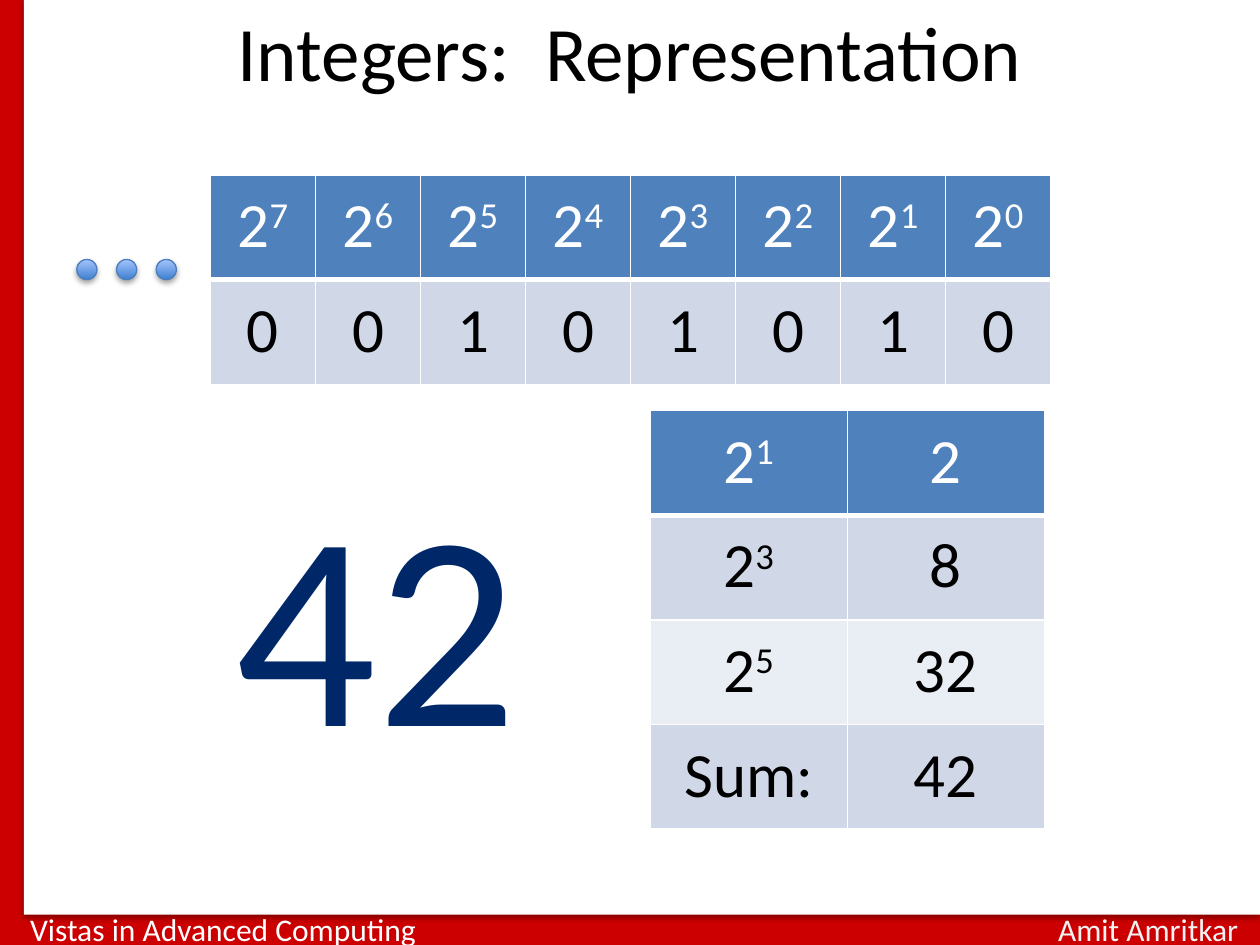
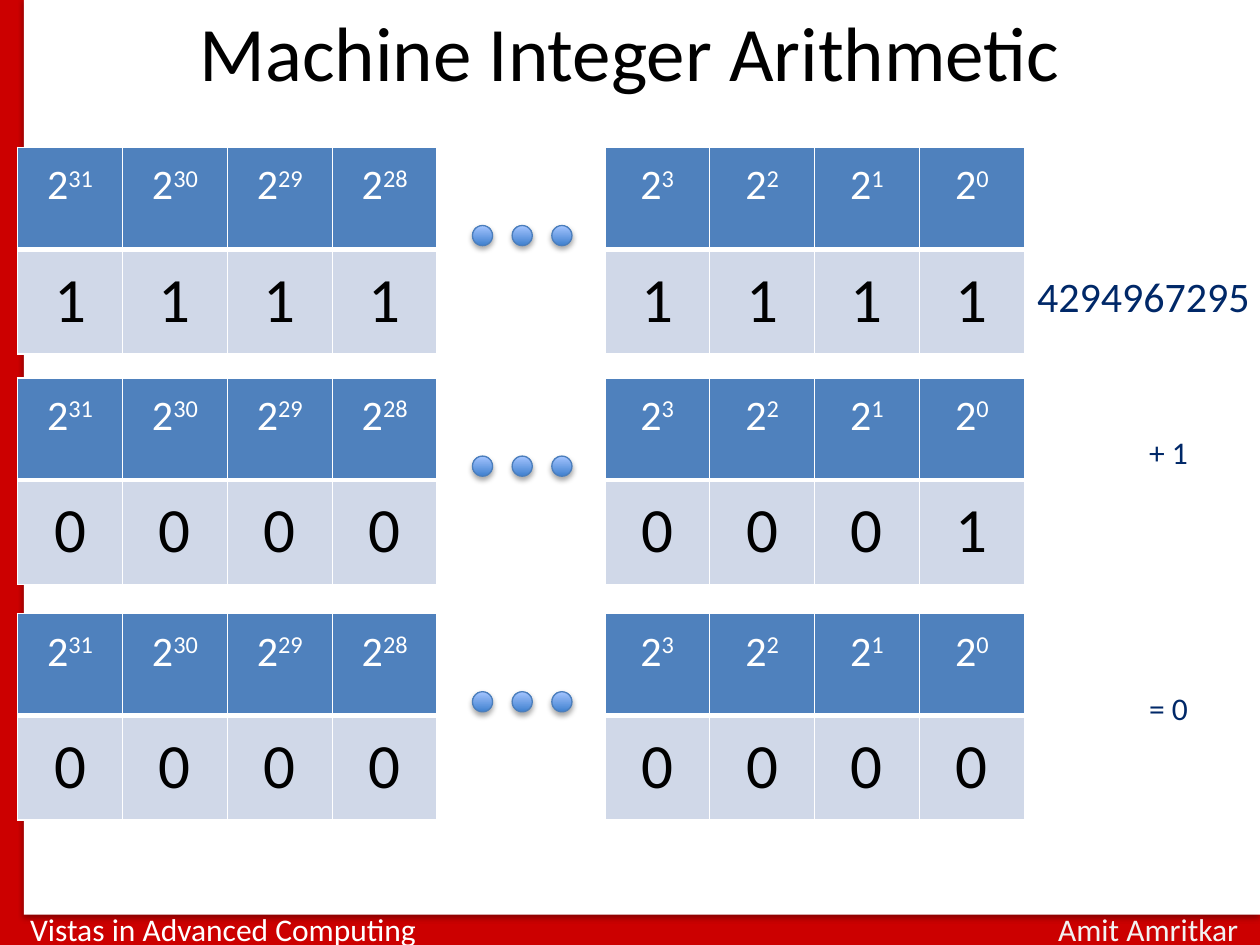
from lxml import etree
from pptx import Presentation
from pptx.dml.color import RGBColor
from pptx.enum.shapes import MSO_SHAPE
from pptx.enum.text import MSO_ANCHOR, PP_ALIGN
from pptx.oxml.ns import qn
from pptx.util import Inches, Pt

RECTANGLE, ELLIPSE = MSO_SHAPE.RECTANGLE, MSO_SHAPE.OVAL
LEFT, CENTER = PP_ALIGN.LEFT, PP_ALIGN.CENTER
TOP = MSO_ANCHOR.TOP

FONT = "Calibri"
RED, WHITE, BLACK, NAVY = "CC0000", "FFFFFF", "000000", "002868"
PALE_GREY = "F2F2F2"
HEADER_BLUE, BAND_DARK, BAND_LIGHT = "4F81BD", "D0D8E8", "E9EDF4"
DOT_BOTTOM, DOT_TOP, DOT_LINE = "3F80CE", "A4C4FF", "4B7EBC"

CELL = 0.83
DOT_SIZE, DOT_PITCH = 0.16, 0.63 / 2
WIDE_INSETS = (0.2, 0.1)


def color(hex_text):
    return RGBColor.from_string(hex_text)


# Text
def write(frame, text, size=18, ink=BLACK, align=LEFT, line_spacing=None):
    """Fill a text frame; what follows a ^ is set as a superscript."""
    para = frame.paragraphs[0]
    para.alignment = align
    if line_spacing:
        para.line_spacing = Pt(line_spacing)
    base, _, exponent = text.partition("^")
    for part, raised in ((base, False), (exponent, True)):
        if not part:
            continue
        span = para.add_run()
        span.text = part
        span.font.name, span.font.size = FONT, Pt(size)
        span.font.bold = False
        span.font.color.rgb = color(ink)
        if raised:
            span.font._element.set("baseline", "30000")


def add_label(page, text, left, top, width, height,
              insets=WIDE_INSETS, wrap=True, **text_format):
    box = page.shapes.add_textbox(
        Inches(left), Inches(top), Inches(width), Inches(height))
    frame = box.text_frame
    frame.word_wrap = wrap
    frame.margin_left = frame.margin_right = Inches(insets[0])
    frame.margin_top = frame.margin_bottom = Inches(insets[1])
    write(frame, text, **text_format)
    return box


# Shapes
def add_soft_shadow(shape):
    shape.shadow.inherit = False
    effects = shape._element.spPr.find(qn("a:effectLst"))
    shadow = etree.SubElement(
        effects, qn("a:outerShdw"), blurRad=str(Pt(3.1)), dist=str(Pt(1.8)),
        dir="5400000", rotWithShape="0")
    ink = etree.SubElement(shadow, qn("a:srgbClr"), val=BLACK)
    etree.SubElement(ink, qn("a:alpha"), val="35000")


def add_dots(page, left, top):
    for index in range(3):
        dot = page.shapes.add_shape(
            ELLIPSE, Inches(left + index * DOT_PITCH), Inches(top),
            Inches(DOT_SIZE), Inches(DOT_SIZE))
        dot.fill.gradient()
        dot.fill.gradient_angle = 90
        for stop, shade in zip(dot.fill.gradient_stops, (DOT_BOTTOM, DOT_TOP)):
            stop.color.rgb = color(shade)
        dot.line.color.rgb = color(DOT_LINE)
        dot.line.width = Pt(0.75)
        add_soft_shadow(dot)


# Tables
def set_borders(cell, bottom_width):
    properties = cell._tc.get_or_add_tcPr()
    for side, width in (("L", 1), ("R", 1), ("T", 1), ("B", bottom_width)):
        line = etree.SubElement(
            properties, qn("a:ln" + side), w=str(Pt(width)))
        fill = etree.SubElement(line, qn("a:solidFill"))
        etree.SubElement(fill, qn("a:srgbClr"), val=WHITE)


def add_grid(page, rows, left, top, width, row_heights, header_size=36):
    columns = len(rows[0])
    table = page.shapes.add_table(
        len(rows), columns, Inches(left), Inches(top),
        Inches(width), Inches(sum(row_heights))).table
    table.first_row = table.horz_banding = False
    for column in table.columns:
        column.width = Inches(width / columns)
    for index, (values, height) in enumerate(zip(rows, row_heights)):
        table.rows[index].height = Inches(height)
        header = index == 0
        band = BAND_DARK if index % 2 else BAND_LIGHT
        for cell, value in zip(table.rows[index].cells, values):
            cell.margin_left = cell.margin_right = Inches(WIDE_INSETS[0])
            cell.margin_top = cell.margin_bottom = Inches(WIDE_INSETS[1])
            cell.vertical_anchor = TOP
            set_borders(cell, 3 if header else 1)
            cell.fill.solid()
            cell.fill.fore_color.rgb = color(HEADER_BLUE if header else band)
            write(cell.text_frame, value, align=CENTER,
                  size=header_size if header else 36,
                  ink=WHITE if header else BLACK)


def powers(highest, count):
    return [f"2^{highest - step}" for step in range(count)]


# Frame and title shared by all slides
def build_frame(page):
    """Draw the white panel and footers, then keep them on the layout."""
    layout = page.slide_layout
    layout.background.fill.solid()
    layout.background.fill.fore_color.rgb = color(RED)
    for holder in list(layout.placeholders)[1:]:
        holder.element.getparent().remove(holder.element)

    panel = page.shapes.add_shape(
        RECTANGLE, Inches(0.19), Inches(-0.01), Inches(9.81), Inches(7.27))
    panel.fill.solid()
    panel.fill.fore_color.rgb = color(WHITE)
    panel.line.fill.background()
    add_soft_shadow(panel)
    course = add_label(page, "Vistas in Advanced Computing", 0.14, 7.17, 3.3,
                       0.4, insets=(0.1, 0.05), wrap=False, ink=WHITE)
    author = add_label(page, "Amit Amritkar", 8.3, 7.17, 1.7, 0.4,
                       insets=(0.1, 0.05), ink=PALE_GREY)
    for part in (panel, course, author):
        layout.shapes.element.append(part.element)


def add_page(deck, heading):
    page = deck.slides.add_slide(deck.slide_layouts[5])
    title = page.shapes.title
    title.left, title.top = Inches(0.5), Inches(0.3)
    title.width, title.height = Inches(9), Inches(1.25)
    title.text_frame.vertical_anchor = TOP
    write(title.text_frame, heading, size=44, align=CENTER, line_spacing=30.4)
    return page


# Slide 1: an integer as a sum of powers of two
def fill_representation(page):
    add_grid(page, [powers(7, 8), list("00101010")],
             1.67, 1.39, 6.67, [CELL] * 2)
    add_dots(page, 0.61, 2.06)
    terms = [["2^1", "2"], ["2^3", "8"], ["2^5", "32"], ["Sum:", "42"]]
    add_grid(page, terms, 5.16, 3.26, 3.13, [CELL] * 4)
    add_label(page, "42", 1.67, 3.46, 2.98, 2.87, size=159, ink=NAVY)


# Slide 2: overflow of a 32-bit addition
def add_word(page, top, high_bits, low_bits):
    """One 32-bit word: its four highest and four lowest bits."""
    for left, highest, bits in ((0.14, 31, high_bits), (4.8, 3, low_bits)):
        add_grid(page, [powers(highest, 4), list(bits)], left, top, 3.33,
                 [0.81, CELL], header_size=24)
    add_dots(page, 3.75, top + 0.62)


def fill_arithmetic(page):
    add_word(page, 1.17, "1111", "1111")
    add_word(page, 3, "0000", "0001")
    add_word(page, 4.87, "0000", "0000")
    add_label(page, "4294967295", 7.82, 2.05, 2.51, 0.6,
              size=24, ink=NAVY, align=CENTER)
    for text, top in (("+ 1", 3.34), ("= 0", 5.37)):
        add_label(page, text, 8.92, top, 1.08, 0.5, ink=NAVY)


def main():
    deck = Presentation()
    deck.slide_width, deck.slide_height = Inches(10), Inches(7.5)
    representation = add_page(deck, "Integers:  Representation")
    build_frame(representation)
    fill_representation(representation)
    fill_arithmetic(add_page(deck, "Machine Integer Arithmetic"))
    deck.save("out.pptx")


if __name__ == "__main__":
    main()
